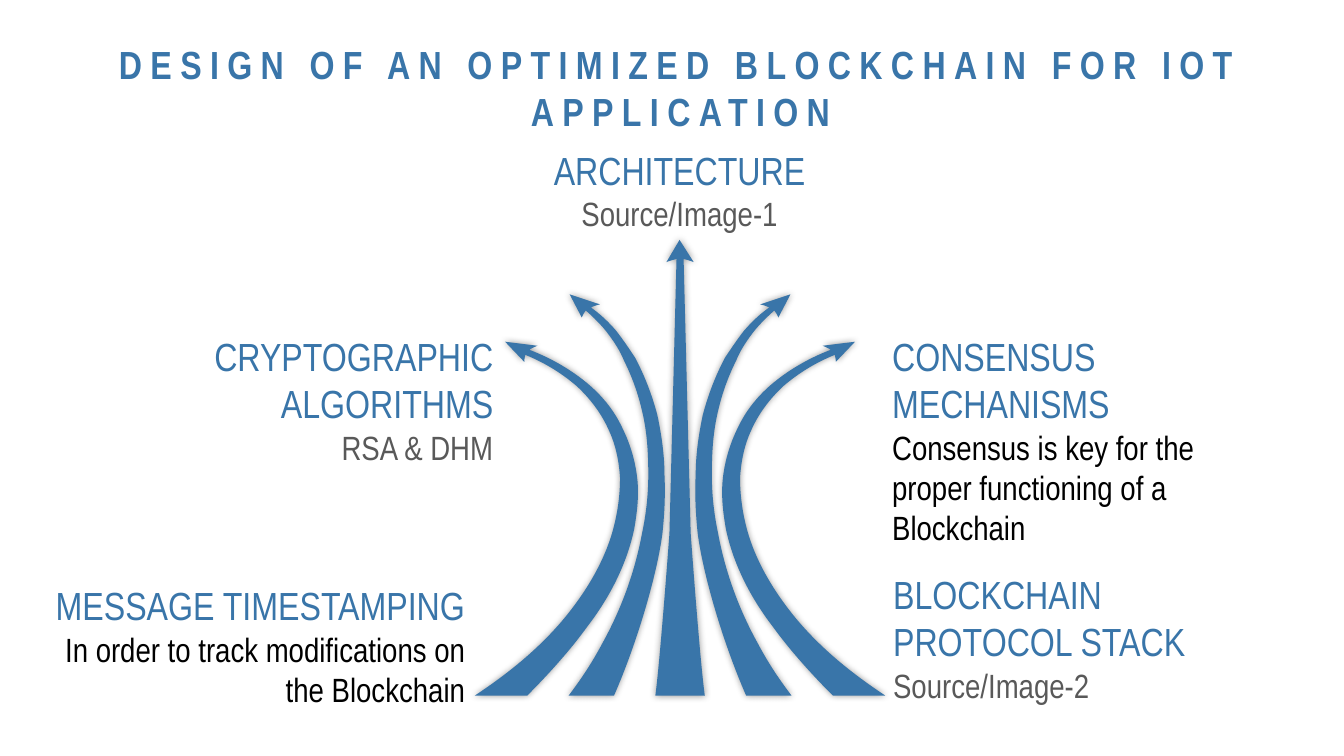
from dataclasses import dataclass

from lxml.etree import SubElement
from pptx import Presentation
from pptx.dml.color import RGBColor
from pptx.enum.text import MSO_ANCHOR, MSO_AUTO_SIZE, PP_ALIGN
from pptx.oxml.ns import qn
from pptx.util import Inches, Pt


@dataclass(frozen=True)
class Theme:
    font: str = "Arial Narrow"
    blue: RGBColor = RGBColor(0x39, 0x75, 0xA9)
    gray: RGBColor = RGBColor(0x59, 0x59, 0x59)
    black: RGBColor = RGBColor(0, 0, 0)
    heading: Pt = Pt(28)
    detail: Pt = Pt(24)
    title_spacing: Pt = Pt(6)
    shadow_blur: Pt = Pt(5)


THEME = Theme()
AXIS = 6.745  # centre line of the arrow fan, in inches

# Each outline is a start point, then segments: two numbers make a straight
# edge, six make a cubic curve (two control points and an end point).
CENTER_ARROW = [
    (6.5, 6.9), (6.99, 6.9), (6.94, 6.54, 6.85, 5.29, 6.85, 5.29),
    (6.78, 2.57), (6.83, 2.58, 6.88, 2.6, 6.88, 2.6), (6.74, 2.38),
    (6.61, 2.6), (6.61, 2.6, 6.66, 2.58, 6.71, 2.57), (6.64, 5.29),
    (6.64, 5.29, 6.55, 6.52, 6.5, 6.9),
]
OUTER_ARROW = [
    (7.89, 6.13), (7.66, 5.85, 7.48, 5.54, 7.4, 5.22),
    (7.36, 5.06, 7.34, 4.9, 7.34, 4.74), (7.35, 4.58, 7.38, 4.42, 7.45, 4.27),
    (7.52, 4.11, 7.63, 3.96, 7.77, 3.83), (7.91, 3.71, 8.08, 3.6, 8.28, 3.52),
    (8.29, 3.55, 8.29, 3.59, 8.29, 3.59), (8.48, 3.39), (8.16, 3.43),
    (8.16, 3.43, 8.21, 3.45, 8.24, 3.47), (8.03, 3.55, 7.84, 3.66, 7.68, 3.79),
    (7.52, 3.92, 7.4, 4.07, 7.32, 4.24), (7.24, 4.4, 7.19, 4.57, 7.17, 4.74),
    (7.15, 4.91, 7.17, 5.08, 7.2, 5.25), (7.27, 5.58, 7.43, 5.91, 7.66, 6.21),
    (7.84, 6.46, 8.07, 6.71, 8.26, 6.9), (8.78, 6.9),
    (8.43, 6.67, 8.13, 6.42, 7.89, 6.13),
]
INNER_ARROW = [
    (7.52, 6.39), (7.32, 6.03, 7.19, 5.66, 7.12, 5.28),
    (7.08, 5.09, 7.06, 4.9, 7.06, 4.71), (7.06, 4.51, 7.07, 4.32, 7.11, 4.13),
    (7.15, 3.94, 7.21, 3.76, 7.3, 3.58), (7.34, 3.48, 7.4, 3.39, 7.46, 3.31),
    (7.52, 3.23, 7.6, 3.15, 7.68, 3.08), (7.71, 3.12, 7.72, 3.15, 7.72, 3.15),
    (7.84, 2.92), (7.54, 3.02), (7.54, 3.02, 7.59, 3.03, 7.63, 3.05),
    (7.53, 3.12, 7.45, 3.2, 7.38, 3.28), (7.31, 3.37, 7.25, 3.46, 7.19, 3.55),
    (7.09, 3.74, 7.02, 3.93, 6.97, 4.12), (6.93, 4.31, 6.9, 4.51, 6.9, 4.71),
    (6.89, 4.9, 6.9, 5.1, 6.92, 5.29), (6.97, 5.68, 7.16, 6.35, 7.4, 6.9),
    (7.85, 6.9), (7.72, 6.73, 7.61, 6.56, 7.52, 6.39),
]

# Left, top, width, height, alignment, heading, detail, detail colour
LABELS = [
    (5.16, 1.4, 3.16, 0.98, PP_ALIGN.CENTER,
     "ARCHITECTURE", "Source/Image-1", THEME.gray),
    (8.75, 3.25, 3.99, 1.38, PP_ALIGN.LEFT, "CONSENSUS MECHANISMS",
     "Consensus is key for the proper functioning of a Blockchain", THEME.black),
    (8.76, 5.61, 3.98, 0.98, PP_ALIGN.LEFT,
     "BLOCKCHAIN PROTOCOL STACK", "Source/Image-2", THEME.gray),
    (0.96, 3.25, 4.03, 0.98, PP_ALIGN.RIGHT,
     "CRYPTOGRAPHIC ALGORITHMS", "RSA & DHM", THEME.gray),
    (0.15, 5.72, 4.56, 1.38, PP_ALIGN.RIGHT, "MESSAGE TIMESTAMPING",
     "In order to track modifications on the Blockchain", THEME.black),
]


def add_run(p, text, size, color, bold=False):
    r = p.add_run()
    r.text = text
    r.font.name = THEME.font
    r.font.size = size
    r.font.bold = bold
    r.font.color.rgb = color
    return r


def set_title(s, text):
    sp = s.shapes.title
    sp.left, sp.top = Inches(0.37), Inches(0.35)
    sp.width, sp.height = Inches(12.76), Inches(0.57)
    tf = sp.text_frame
    tf.word_wrap = True
    tf.auto_size = MSO_AUTO_SIZE.NONE
    tf.vertical_anchor = MSO_ANCHOR.TOP
    p = tf.paragraphs[0]
    p.alignment = PP_ALIGN.CENTER
    r = add_run(p, text, THEME.heading, THEME.blue, bold=True)
    spacing = round(THEME.title_spacing.pt * 100)
    r._r.get_or_add_rPr().set("spc", str(spacing))


def add_label(s, left, top, width, height, align, heading, detail, color):
    sp = s.shapes.add_textbox(*map(Inches, (left, top, width, height)))
    tf = sp.text_frame
    tf.word_wrap = True
    tf.auto_size = MSO_AUTO_SIZE.SHAPE_TO_FIT_TEXT
    p = tf.paragraphs[0]
    p.alignment = align
    add_run(p, heading, THEME.heading, THEME.blue)
    p = tf.add_paragraph()
    p.alignment = align
    add_run(p, detail, THEME.detail, color)


def point_lists(outline):
    """Give each segment as a list of points, a straight edge as one."""
    return [list(zip(seg[::2], seg[1::2])) for seg in outline]


def mirror(segments):
    return [[(2 * AXIS - x, y) for x, y in seg] for seg in segments]


def bend_edges(sp, segments):
    """Replace the straight edges of a freeform by cubic curves."""
    edges = list(sp._element.spPr.iter(qn("a:lnTo")))
    for edge, seg in zip(edges, segments):
        controls = seg if len(seg) == 3 else seg * 3
        curve = edge.makeelement(qn("a:cubicBezTo"))
        for x, y in controls:
            SubElement(curve, qn("a:pt"), x=str(Inches(x) - sp.left),
                       y=str(Inches(y) - sp.top))
        edge.getparent().replace(edge, curve)


def add_glow_shadow(sp):
    sp.shadow.inherit = False
    effects = sp._element.spPr.find(qn("a:effectLst"))
    shadow = SubElement(effects, qn("a:outerShdw"),
                        blurRad=str(THEME.shadow_blur), dist="0", dir="0")
    color = SubElement(shadow, qn("a:srgbClr"), val=str(THEME.black))
    SubElement(color, qn("a:alpha"), val="40000")


def add_arrow(s, segments):
    start, *rest = [tuple(map(Inches, seg[-1])) for seg in segments]
    builder = s.shapes.build_freeform(*start)
    builder.add_line_segments(rest, close=True)
    sp = builder.convert_to_shape()
    bend_edges(sp, segments[1:])
    sp.fill.solid()
    sp.fill.fore_color.rgb = THEME.blue
    sp.line.fill.background()
    add_glow_shadow(sp)


def main():
    prs = Presentation()
    prs.slide_width, prs.slide_height = Inches(13.33), Inches(7.5)
    s = prs.slides.add_slide(prs.slide_layouts[5])

    # Title
    set_title(s, "DESIGN OF AN OPTIMIZED BLOCKCHAIN FOR IOT APPLICATION")

    # Fan of arrows: one in the middle, two mirrored pairs
    add_arrow(s, point_lists(CENTER_ARROW))
    for outline in (OUTER_ARROW, INNER_ARROW):
        segments = point_lists(outline)
        add_arrow(s, segments)
        add_arrow(s, mirror(segments))

    # Labels around the fan
    for label in LABELS:
        add_label(s, *label)

    prs.save("out.pptx")


if __name__ == "__main__":
    main()
